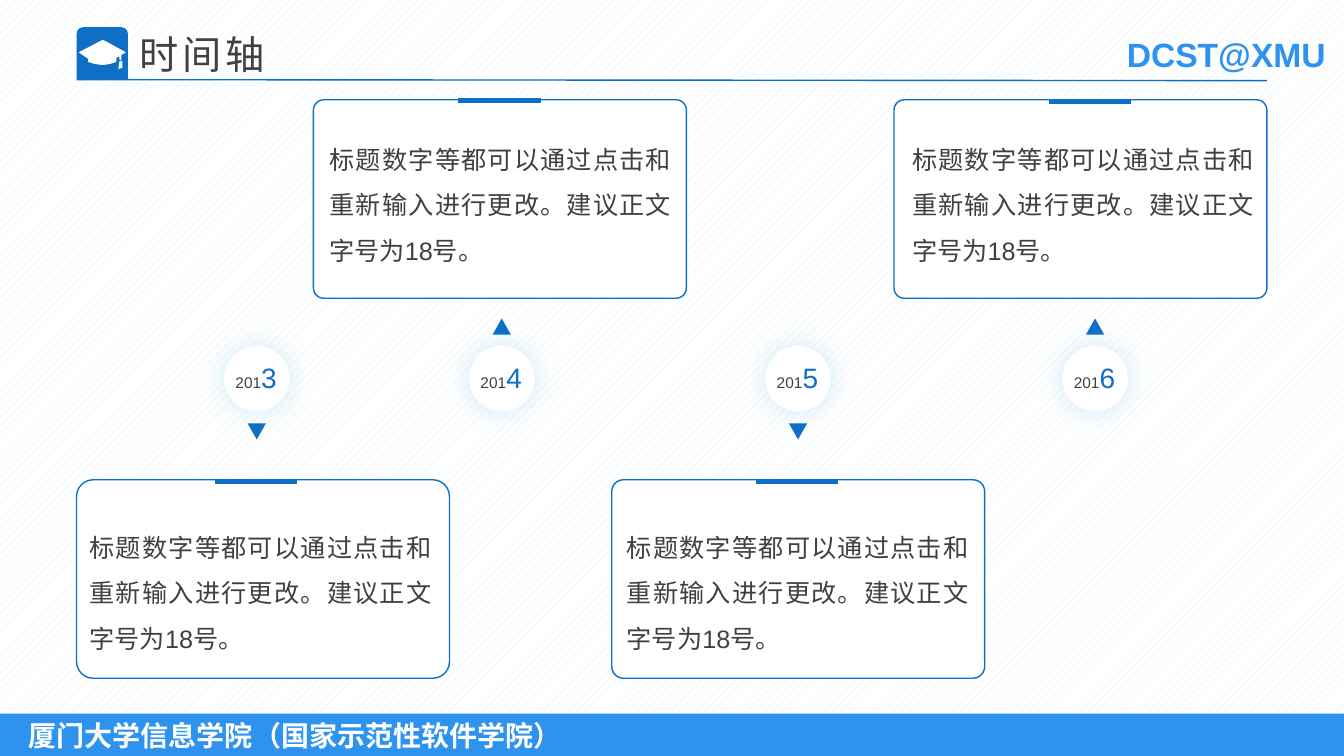
from typing import NamedTuple

from lxml.etree import SubElement
from pptx import Presentation
from pptx.dml.color import RGBColor
from pptx.enum.dml import MSO_PATTERN
from pptx.enum.shapes import MSO_CONNECTOR, MSO_SHAPE
from pptx.enum.text import MSO_ANCHOR as Anchor, MSO_AUTO_SIZE as AutoSize, PP_ALIGN as Align
from pptx.oxml.ns import qn
from pptx.util import Pt

BLUE, LIGHT_BLUE, GLOW = "0F6FC6", "2D93EF", "009DD9"
WHITE, PALE_BLUE, GRAY, BLACK = "FFFFFF", "DBEFF9", "404040", "0D0D0D"
CARD_WIDTH, CARD_HEIGHT = 266.4, 141.8
CARD_TEXT = "标题数字等都可以通过点击和重新输入进行更改。建议正文字号为18号。"


class Milestone(NamedTuple):
    digit: str
    center: float
    above: bool
    card_left: float
    corner: float
    text_left: float
    bar_center: float
    bar_top: float
    shade_left: float
    shade_top: float


MILESTONES = [
    Milestone("3", 183.4, False, 54.7, 0.084, 56.9, 182.9, 344.2, 53.3, 425.5),
    Milestone("4", 358.4, True, 223.9, 0.052, 228.2, 356.8, 72, 241.2, 151.2),
    Milestone("5", 570, False, 437, 0.059, 440.6, 569.2, 344.2, 436.3, 419.8),
    Milestone("6", 782.2, True, 638.6, 0.052, 644.4, 778.3, 72.7, 639.4, 151.9),
]

CAP = [(120, 59), (120, 54), (124, 52), (102, 40), (79, 52), (88, 58), (88, 61),
       (94, 63), (102, 64), (109, 63), (115, 61), (115, 57), (119, 55), (119, 59)]
TASSEL = [(119, 61), (118, 68), (120, 67), (121, 67), (121, 61)]


def color(value):
    return RGBColor.from_string(value)


def add_run(paragraph, text, size, text_color, bold=False):
    run = paragraph.add_run()
    run.text = text
    run.font.name = "Arial"
    run.font.size = Pt(size)
    run.font.bold = bold
    run.font.color.rgb = color(text_color)
    return run


def paint(shape, fill, line=None, width=1.0):
    shape.shadow.inherit = False
    shape.fill.solid()
    shape.fill.fore_color.rgb = color(fill)
    if line:
        shape.line.color.rgb = color(line)
        shape.line.width = Pt(width)
    else:
        shape.line.fill.background()


def add_shape(slide, kind, left, top, width, height, fill, line=None):
    shape = slide.shapes.add_shape(kind, Pt(left), Pt(top), Pt(width), Pt(height))
    paint(shape, fill, line)
    return shape


def add_line(slide, left, top, right, bottom, width):
    line = slide.shapes.add_connector(
        MSO_CONNECTOR.STRAIGHT, Pt(left), Pt(top), Pt(right), Pt(bottom))
    line.line.color.rgb = color(BLUE)
    line.line.width = Pt(width)
    SubElement(line._element.spPr, qn("a:effectLst"))


def add_text_box(slide, left, top, width, height, wrap):
    box = slide.shapes.add_textbox(Pt(left), Pt(top), Pt(width), Pt(height))
    box.text_frame.word_wrap = wrap
    box.text_frame.auto_size = AutoSize.SHAPE_TO_FIT_TEXT
    return box.text_frame.paragraphs[0]


def set_alpha(parent, percent):
    SubElement(parent, qn("a:alpha"), val=str(percent * 1000))


def add_shade(slide, left, top):
    shade = add_shape(slide, MSO_SHAPE.RECTANGLE, left, top, CARD_WIDTH, 98.6, BLACK)
    properties = shade._element.spPr
    set_alpha(properties.find(qn("a:solidFill"))[0], 20)
    SubElement(properties.find(qn("a:effectLst")), qn("a:softEdge"), rad=str(Pt(50)))


def add_year(slide, milestone):
    circle = add_shape(slide, MSO_SHAPE.OVAL, milestone.center - 23.4, 247, 46.8, 46.8, WHITE)
    effects = circle._element.spPr.find(qn("a:effectLst"))
    shadow = SubElement(effects, qn("a:outerShdw"), blurRad=str(Pt(20)), dist="0",
                        dir="0", algn="ctr", rotWithShape="0")
    set_alpha(SubElement(shadow, qn("a:srgbClr"), val=GLOW), 20)
    paragraph = add_text_box(slide, milestone.center - 22.3, 254.2, 44.6, 31.7, False)
    add_run(paragraph, "201", 11, GRAY)
    add_run(paragraph, milestone.digit, 20, BLUE)
    arrow = add_shape(slide, MSO_SHAPE.ISOSCELES_TRIANGLE, milestone.center - 6.5,
                      227.5 if milestone.above else 302.4, 13, 11.5, BLUE)
    arrow.rotation = 0 if milestone.above else 180


def add_card(slide, milestone):
    top, text_top = (71.3, 88.6) if milestone.above else (342.7, 365.8)
    card = add_shape(slide, MSO_SHAPE.ROUNDED_RECTANGLE, milestone.card_left, top,
                     CARD_WIDTH, CARD_HEIGHT, WHITE, BLUE)
    card.adjustments[0] = milestone.corner
    add_line(slide, milestone.bar_center - 29.3, milestone.bar_top,
             milestone.bar_center + 29.3, milestone.bar_top, 3.5)
    paragraph = add_text_box(slide, milestone.text_left, text_top, 258.5, 101.5, True)
    paragraph.alignment = Align.JUSTIFY
    paragraph.line_spacing = 1.5
    add_run(paragraph, CARD_TEXT, 18, GRAY)


def add_title(slide):
    title = slide.shapes.title
    title.left, title.top, title.width, title.height = Pt(92.2), Pt(18), Pt(525.6), Pt(72)
    frame = title.text_frame
    frame.vertical_anchor = Anchor.TOP
    frame.auto_size = AutoSize.NONE
    paragraph = frame.paragraphs[0]
    paragraph.alignment = Align.LEFT
    run = add_run(paragraph, "时间轴", 28, GRAY)
    run.font._element.set("spc", "300")


def add_cap(slide):
    tile = add_shape(slide, MSO_SHAPE.ROUND_2_SAME_RECTANGLE, 54.7, 19.4, 36.7, 37.4, BLUE)
    tile.adjustments[0] = 0.13
    builder = slide.shapes.build_freeform(*CAP[0], scale=Pt(0.72))
    builder.add_line_segments(CAP[1:])
    builder.move_to(*TASSEL[0])
    builder.add_line_segments(TASSEL[1:])
    paint(builder.convert_to_shape(), WHITE, WHITE, 0.75)


def add_frame(slide):
    fill = slide.background.fill
    fill.patterned()
    fill.pattern = MSO_PATTERN.PERCENT_20
    fill.fore_color.rgb = color(PALE_BLUE)
    fill.back_color.rgb = color(WHITE)
    footer = add_shape(slide, MSO_SHAPE.RECTANGLE, 0, 509.8, 960, 31.5, LIGHT_BLUE)
    frame = footer.text_frame
    frame.margin_left = Pt(20.5)
    frame.vertical_anchor = Anchor.MIDDLE
    frame.paragraphs[0].alignment = Align.LEFT
    add_run(frame.paragraphs[0], "厦门大学信息学院（国家示范性软件学院）", 20, WHITE, True)
    paragraph = add_text_box(slide, 797.8, 20.9, 158.4, 36, False)
    add_run(paragraph, "DCST@XMU", 24, LIGHT_BLUE, True)
    add_cap(slide)
    add_line(slide, 54.7, 56.9, 905, 57.6, 1)


def main():
    presentation = Presentation()
    presentation.slide_width, presentation.slide_height = Pt(960), Pt(540)
    slide = presentation.slides.add_slide(presentation.slide_layouts[5])
    add_frame(slide)
    add_title(slide)
    for milestone in MILESTONES:
        add_shade(slide, milestone.shade_left, milestone.shade_top)
    for milestone in MILESTONES:
        add_year(slide, milestone)
        add_card(slide, milestone)
    presentation.save("out.pptx")


if __name__ == "__main__":
    main()
